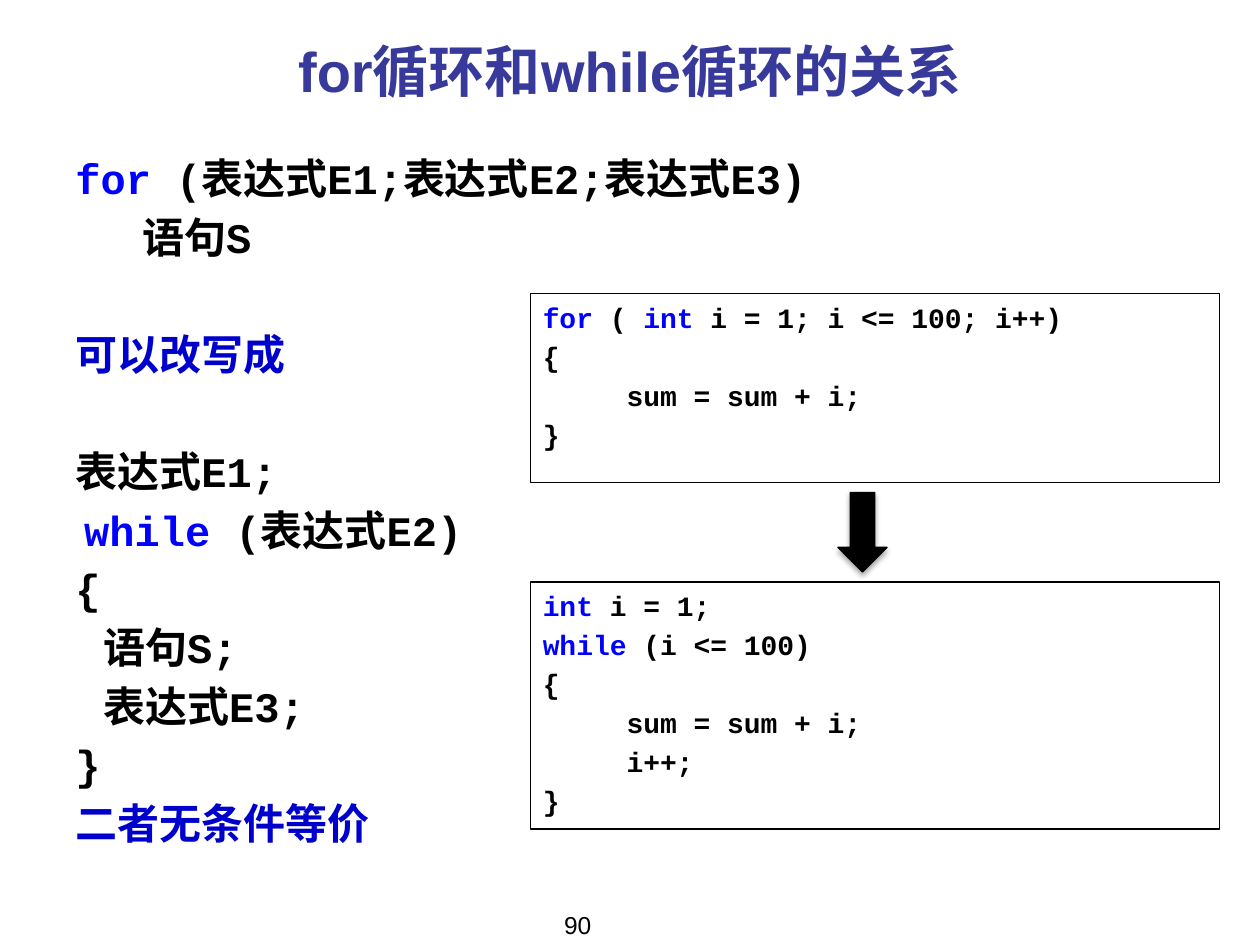
import dataclasses

import lxml.etree
import pptx
import pptx.dml.color
import pptx.enum.shapes
import pptx.enum.text
import pptx.oxml
import pptx.oxml.ns
import pptx.util

COLUMN = ROW = pptx.util.Inches(0.1)


@dataclasses.dataclass(frozen=True)
class Theme:
    """Colours, fonts and type sizes of the slide."""
    title: str = "37399B"
    keyword: str = "0000FF"
    remark: str = "0000CC"
    ink: str = "000000"
    sans: str = "Arial"
    mono: str = "Courier New"
    chinese: str = "Noto Sans CJK SC"
    title_size: float = 32
    body_size: float = 24
    code_size: float = 16
    number_size: float = 14


@dataclasses.dataclass(frozen=True)
class Box:
    """A region measured in grid columns and rows."""
    left: float
    top: float
    width: float
    height: float

    def emu(self):
        """Return the region as slide lengths."""
        return (round(self.left * COLUMN), round(self.top * ROW),
                round(self.width * COLUMN), round(self.height * ROW))


THEME = Theme()


def rgb(value):
    """Return a colour object for a hex value."""
    return pptx.dml.color.RGBColor.from_string(value)


def write_line(paragraph, runs, font, size, bold=True, indent=0):
    """Fill a paragraph with (text, colour) runs in one font."""
    if indent:
        properties = paragraph._p.get_or_add_pPr()
        properties.set("marL", str(round(indent * COLUMN)))
        properties.set("indent", "0")
    paragraph.font.name = font
    paragraph.font.size = pptx.util.Pt(size)
    paragraph.font.bold = bold
    colours = {colour for _, colour in runs}
    if len(colours) == 1:
        paragraph.font.color.rgb = rgb(runs[0][1])
    for text, colour in runs:
        run = paragraph.add_run()
        run.text = text
        if len(colours) > 1:
            run.font.color.rgb = rgb(colour)
        east_asian = lxml.etree.SubElement(
            run._r.get_or_add_rPr(), pptx.oxml.ns.qn("a:ea"))
        east_asian.set("typeface", THEME.chinese)


def add_paragraph(frame, index):
    """Return the first paragraph or a new one after it."""
    return frame.add_paragraph() if index else frame.paragraphs[0]


def add_caption(slide, box, text, size, colour, bold, anchor):
    """Place one centred line of sans text."""
    frame = slide.shapes.add_textbox(*box.emu()).text_frame
    frame.word_wrap = True
    frame.vertical_anchor = anchor
    caption = frame.paragraphs[0]
    caption.alignment = pptx.enum.text.PP_ALIGN.CENTER
    write_line(caption, [(text, colour)], THEME.sans, size, bold)


def add_rewrite_rule(slide, box):
    """Place the general rule for rewriting for as while."""
    ink, mono = THEME.ink, THEME.mono
    rule = [
        ([("for ", THEME.keyword), ("(表达式E1;表达式E2;表达式E3)", ink)], mono, 0, 0),
        ([("语句S", ink)], mono, 5.3, 0),
        ([("可以改写成", THEME.remark)], THEME.chinese, 0, 1),
        ([("表达式E1;", ink)], mono, 0, 1),
        ([("while", THEME.keyword), (" (表达式E2)", ink)], mono, 0.7, 0),
        ([("{", ink)], mono, 0, 0),
        ([("语句S;", ink)], mono, 2.2, 0),
        ([("表达式E3;", ink)], mono, 2.2, 0),
        ([("}", ink)], mono, 0, 0),
        ([("二者无条件等价", THEME.remark)], THEME.chinese, 0, 0),
    ]
    line_height, gap = 28.6, 4.9
    frame = slide.shapes.add_textbox(*box.emu()).text_frame
    frame.word_wrap = True
    frame.margin_top = pptx.util.Pt(4.5)
    for index, (runs, font, indent, skipped) in enumerate(rule):
        paragraph = add_paragraph(frame, index)
        paragraph.line_spacing = pptx.util.Pt(line_height)
        if index:
            paragraph.space_before = pptx.util.Pt(
                gap + skipped * (line_height + gap))
        write_line(paragraph, runs, font, THEME.body_size, indent=indent)


def add_code(slide, box, lines):
    """Place a framed code listing."""
    listing = slide.shapes.add_shape(
        pptx.enum.shapes.MSO_SHAPE.RECTANGLE, *box.emu())
    listing.shadow.inherit = False
    listing.fill.background()
    listing.line.color.rgb = rgb(THEME.ink)
    listing.line.width = pptx.util.Pt(0.75)
    frame = listing.text_frame
    frame.word_wrap = True
    frame.vertical_anchor = pptx.enum.text.MSO_ANCHOR.TOP
    frame.margin_top = pptx.util.Pt(3.8)
    for index, runs in enumerate(lines):
        paragraph = add_paragraph(frame, index)
        paragraph.alignment = pptx.enum.text.PP_ALIGN.LEFT
        if index:
            paragraph.space_before = pptx.util.Pt(3.1)
        write_line(paragraph, runs, THEME.mono, THEME.code_size)


def add_down_arrow(slide, box):
    """Place the solid arrow with its soft shadow."""
    arrow = slide.shapes.add_shape(
        pptx.enum.shapes.MSO_SHAPE.DOWN_ARROW, *box.emu())
    arrow.fill.solid()
    arrow.fill.fore_color.rgb = rgb(THEME.ink)
    arrow.line.color.rgb = rgb(THEME.ink)
    arrow.line.width = pptx.util.Pt(0.75)
    arrow.shadow.inherit = False
    effects = arrow._element.spPr.find(pptx.oxml.ns.qn("a:effectLst"))
    effects.append(pptx.oxml.parse_xml(
        f'<a:outerShdw {pptx.oxml.ns.nsdecls("a")} blurRad="{pptx.util.Pt(3.1)}" '
        f'dist="{pptx.util.Pt(1.8)}" dir="5400000" rotWithShape="0">'
        f'<a:srgbClr val="{THEME.ink}"><a:alpha val="35000"/></a:srgbClr>'
        '</a:outerShdw>'))


def add_example(slide, box):
    """Place the for listing, the arrow and the while listing."""
    ink, keyword = THEME.ink, THEME.keyword
    for_height, while_height = 15, 19.6
    arrow_width, arrow_height = 3.9, 6.3
    opening, closing = [("{", ink)], [("}", ink)]
    summing = [("     sum = sum + i;", ink)]
    add_code(slide, Box(box.left, box.top, box.width, for_height), [
        [("for", keyword), (" ( ", ink), ("int ", keyword),
         ("i = 1; i <= 100; i++)", ink)],
        opening, summing, closing])
    gap = box.height - for_height - while_height
    add_down_arrow(slide, Box(
        box.left + (box.width - arrow_width) / 2 - 1,
        box.top + for_height + (gap - arrow_height) / 2,
        arrow_width, arrow_height))
    while_top = box.top + box.height - while_height
    add_code(slide, Box(box.left, while_top, box.width, while_height), [
        [("int ", keyword), ("i = 1;", ink)],
        [("while", keyword), (" (i <= 100)", ink)],
        opening, summing, [("     i++;", ink)], closing])


def main():
    """Build and save the slide."""
    deck = pptx.Presentation()
    deck.slide_width, deck.slide_height = 100 * COLUMN, 75 * ROW
    slide = deck.slides.add_slide(deck.slide_layouts[6])
    anchors = pptx.enum.text.MSO_ANCHOR
    add_caption(slide, Box(5, 2.5, 90, 6.2), "for循环和while循环的关系",
                THEME.title_size, THEME.title, True, anchors.MIDDLE)
    add_rewrite_rule(slide, Box(5, 11.5, 70.2, 57.4))
    add_caption(slide, Box(34.2, 71.7, 23.3, 2.6), "90",
                THEME.number_size, THEME.ink, False, anchors.TOP)
    add_example(slide, Box(42.1, 23.3, 54.7, 42.5))
    deck.save("out.pptx")


if __name__ == "__main__":
    main()
